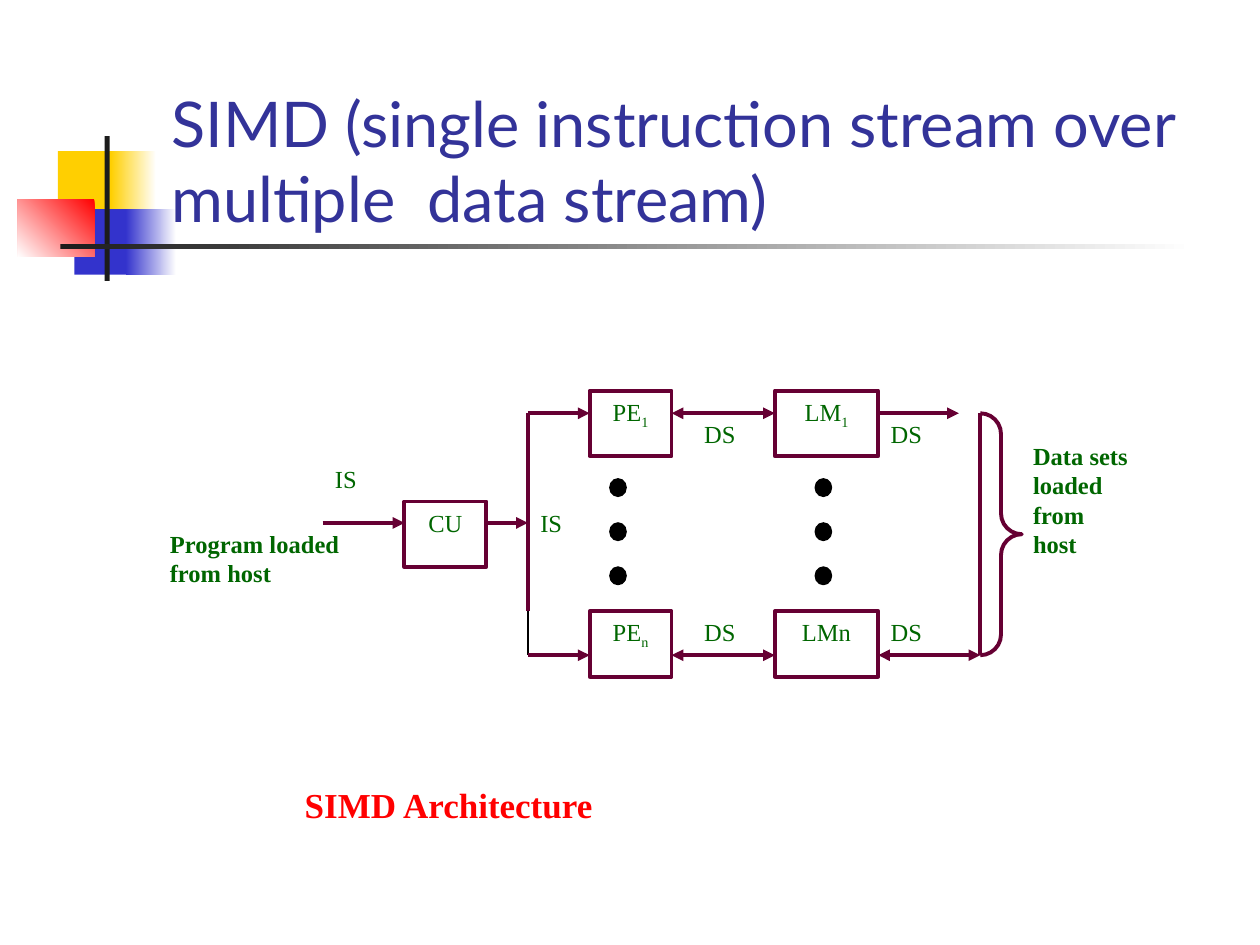
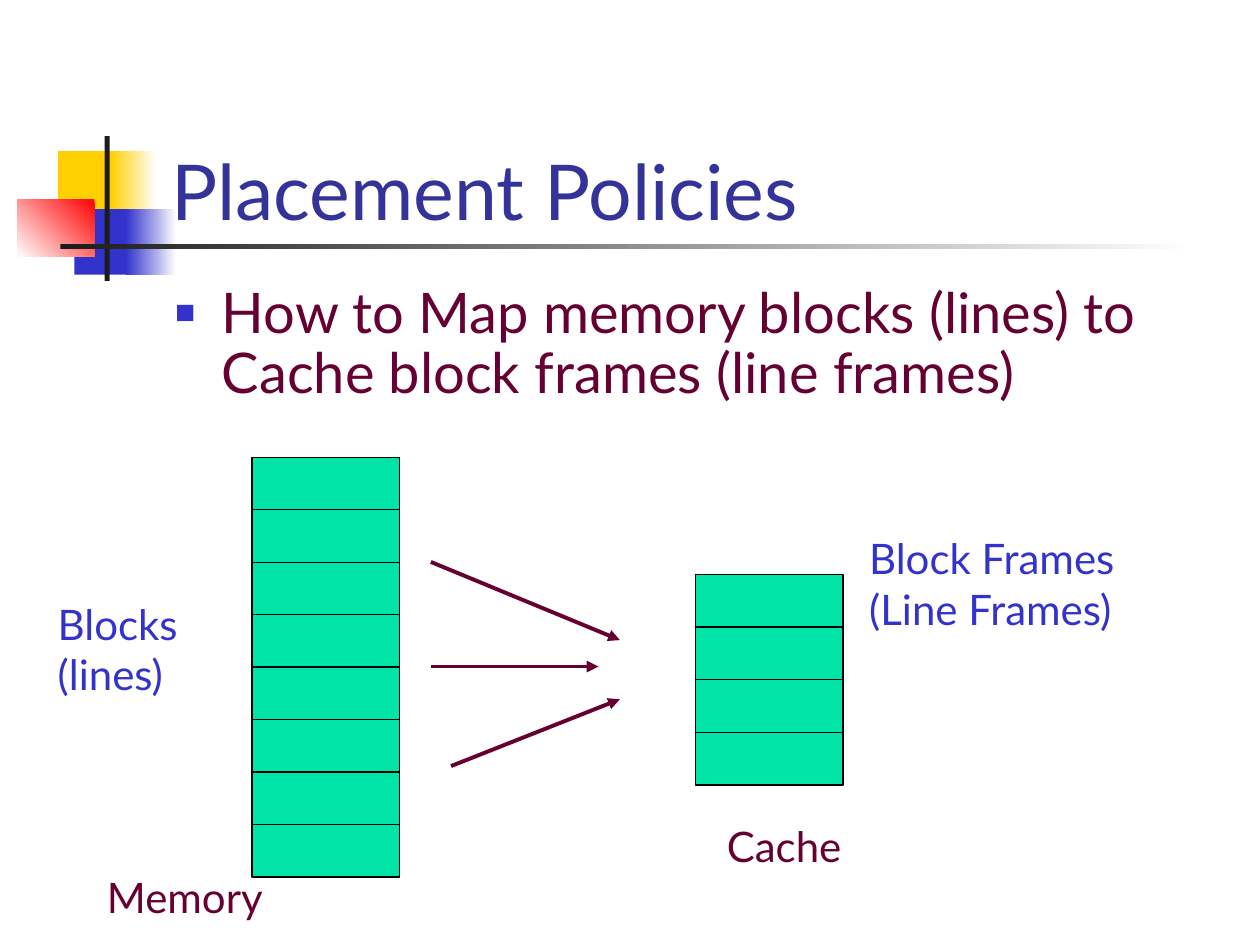
import lxml.etree
import pptx
import pptx.dml.color
import pptx.enum.shapes
import pptx.enum.text
import pptx.oxml.ns
import pptx.util

PX = 9144
SHAPE = pptx.enum.shapes.MSO_SHAPE
ALIGN = pptx.enum.text.PP_ALIGN
ANCHOR = pptx.enum.text.MSO_ANCHOR
qn = pptx.oxml.ns.qn

SANS, SERIF = "Lato", "Times New Roman"
INDIGO, BLUE, MAROON, GREEN = "333399", "3333CC", "660033", "006600"
YELLOW, RED, MINT = "FFCF01", "FF0000", "00E4A8"
CHARCOAL, BLACK, WHITE = "1C1C1C", "000000", "FFFFFF"


def px(*lengths):
    """Turn px lengths into EMU."""
    return [round(n * PX) for n in lengths]


def rgb(color):
    """Turn a hex string into a colour."""
    return pptx.dml.color.RGBColor.from_string(color)


def write(tf, text, size=14, font=SERIF, color=GREEN, bold=False,
          align=ALIGN.LEFT, anchor=ANCHOR.TOP, sub=""):
    """Fill a text frame, one paragraph per line, with an optional subscript."""
    tf.word_wrap = True
    tf.auto_size = pptx.enum.text.MSO_AUTO_SIZE.NONE
    tf.vertical_anchor = anchor
    tf.margin_left = tf.margin_right = px(10)[0]
    tf.margin_top = tf.margin_bottom = px(5)[0]
    for i, line in enumerate(text.split("\n")):
        p = tf.add_paragraph() if i else tf.paragraphs[0]
        p.alignment = align
        p.space_before = pptx.util.Pt(0)
        for part in filter(None, (line, sub)):
            r = p.add_run()
            r.text = part
            r.font.size, r.font.name = pptx.util.Pt(size), font
            r.font.bold, r.font.color.rgb = bold, rgb(color)
            if part == sub:
                r.font._element.set("baseline", "-25000")


def label(slide, text, x, y, w, h, **fmt):
    """Add a text box."""
    write(slide.shapes.add_textbox(*px(x, y, w, h)).text_frame, text, **fmt)


def shape(slide, kind, x, y, w, h, fill=None, line=None, weight=0.75):
    """Add a preset shape with a plain fill and outline."""
    sp = slide.shapes.add_shape(kind, *px(x, y, w, h))
    sp.shadow.inherit = False
    if fill:
        sp.fill.solid()
        sp.fill.fore_color.rgb = rgb(fill)
    else:
        sp.fill.background()
    if line:
        sp.line.color.rgb = rgb(line)
        sp.line.width = pptx.util.Pt(weight)
    else:
        sp.line.fill.background()
    return sp


def fade(sp, start, end, angle=0):
    """Give a shape a two-colour gradient."""
    sp.fill.gradient()
    sp.fill.gradient_angle = angle
    for stop, color in zip(sp.fill.gradient_stops, (start, end)):
        stop.color.rgb = rgb(color)
    return sp


def line(slide, x1, y1, x2, y2, color=MAROON, weight=2.25, ends=""):
    """Add a straight line; ends lists its arrowheads (head, tail)."""
    c = slide.shapes.add_connector(pptx.enum.shapes.MSO_CONNECTOR.STRAIGHT,
                                   *px(x1, y1, x2, y2))
    c.line.color.rgb = rgb(color)
    c.line.width = pptx.util.Pt(weight)
    spPr = c.element.spPr
    ln = spPr.find(qn("a:ln"))
    for end in ends.split():
        lxml.etree.SubElement(ln, qn(f"a:{end}End"), type="triangle")
    lxml.etree.SubElement(spPr, qn("a:effectLst"))


def master_motif(prs, slide, x, y):
    """Draw the coloured squares and rules, and move them to the master."""
    box = SHAPE.RECTANGLE
    parts = [
        shape(slide, box, x + 32, y + 12, 48, 52, YELLOW),
        fade(shape(slide, box, x + 74, y + 12, 36, 52), YELLOW, WHITE),
        shape(slide, box, x + 45, y + 58, 46, 52, BLUE),
        fade(shape(slide, box, x + 86, y + 58, 40, 52), BLUE, WHITE),
        fade(shape(slide, box, x, y + 50, 61, 46), RED, WHITE, 225),
        shape(slide, box, x + 69, y, 4, 115, CHARCOAL),
        fade(shape(slide, box, x + 34, y + 86, 900, 4), CHARCOAL, WHITE),
    ]
    for sp in parts:
        prs.slide_master.shapes.element.append(sp.element)


def place(ph, x, y, w, h):
    """Move a placeholder."""
    ph.left, ph.top, ph.width, ph.height = px(x, y, w, h)


def title(slide, text, y, h, size):
    """Place and fill the title, which sits on the rule."""
    place(slide.shapes.title, 126, y, 852, h)
    write(slide.shapes.title.text_frame, text, size=size, font=SANS,
          color=INDIGO, anchor=ANCHOR.BOTTOM)


def bullet_list(slide, text, x, y, w, h):
    """Place and fill the body with square bullets."""
    body = slide.placeholders[1]
    place(body, x, y, w, h)
    write(body.text_frame, text, size=32, font=SANS, color=MAROON)
    for p in body.text_frame.paragraphs:
        pPr = p._p.get_or_add_pPr()
        pPr.set("marL", str(37 * PX))
        pPr.set("indent", str(-37 * PX))
        clr = lxml.etree.SubElement(pPr, qn("a:buClr"))
        lxml.etree.SubElement(clr, qn("a:srgbClr"), val=BLUE)
        lxml.etree.SubElement(pPr, qn("a:buSzPct"), val="60000")
        lxml.etree.SubElement(pPr, qn("a:buChar"), char="■")
        p.line_spacing = 0.9


def unit(slide, text, x, y, w, sub=""):
    """Draw one named hardware unit."""
    sp = shape(slide, SHAPE.RECTANGLE, x, y, w, 52, WHITE, MAROON, 2.25)
    write(sp.text_frame, text, align=ALIGN.CENTER, sub=sub)


def simd_diagram(slide, x, y):
    """Draw the control unit, processing elements and local memories."""
    cu, bus, pe, lm, brace = x + 196, x + 294, x + 343, x + 490, x + 653
    pe_end, lm_end = pe + 65, lm + 82
    top, middle, bottom = y + 18, y + 105, y + 210

    line(slide, x + 131, middle, cu, middle, ends="tail")
    line(slide, cu + 65, middle, bus, middle, ends="tail")
    line(slide, bus, top, bus, y + 175)
    line(slide, bus, y + 175, bus, bottom, BLACK, 0.75)
    for row in (top, bottom):
        line(slide, bus, row, pe, row, ends="tail")
        line(slide, pe_end, row, lm, row, ends="head tail")
    line(slide, lm_end, top, x + 636, top, ends="tail")
    line(slide, lm_end, bottom, brace, bottom, ends="head tail")

    unit(slide, "CU", cu, y + 88, 65)
    unit(slide, "PE", pe, y, 65, sub="1")
    unit(slide, "PE", pe, y + 175, 65, sub="n")
    unit(slide, "LM", lm, y, 82, sub="1")
    unit(slide, "LMn", lm, y + 175, 82)

    for dot_x in (pe + 16, lm + 32):
        for i in range(3):
            shape(slide, SHAPE.OVAL, dot_x, y + 70 + 35 * i, 13, 14, BLACK, BLACK)

    line(slide, brace, top, brace, bottom)
    sp = shape(slide, SHAPE.RIGHT_BRACE, brace, top, 33, bottom - top,
               line=MAROON, weight=2.25)
    sp.adjustments[0] = sp.adjustments[1] = 0.5

    label(slide, "IS", x + 131, y + 53, 49, 34)
    label(slide, "IS", bus, y + 88, 49, 34)
    for ds_x in (pe_end + 16, lm_end):
        for ds_y in (top, y + 175):
            label(slide, "DS", ds_x, ds_y, 65, 34)
    label(slide, "Program loaded from host", x, middle, 180, 57, bold=True)
    label(slide, "Data sets loaded from host", brace + 32, y + 35, 98, 104, bold=True)


def block_stack(slide, x, y, w, h, count):
    """Draw a column of equal memory blocks."""
    for i in range(count):
        shape(slide, SHAPE.RECTANGLE, x, y + h * i / count, w, h / count, MINT, BLACK)


def mapping_diagram(slide, x, y):
    """Draw memory blocks mapped to cache block frames."""
    block_stack(slide, x + 164, y, 117, 333, 8)
    block_stack(slide, x + 516, y + 93, 117, 167, 4)
    for x1, y1, x2, y2 in ((306, 83, 456, 145), (306, 166, 439, 166),
                           (322, 245, 456, 192)):
        line(slide, x + x1, y + y1, x + x2, y + y2, ends="tail")
    for text, dx, dy, w, h, color in (
            ("Blocks\n(lines)", 0, 107, 120, 90, BLUE),
            ("Block Frames\n(Line Frames)", 644, 55, 230, 90, BLUE),
            ("Memory", 39, 324, 151, 50, MAROON),
            ("Cache", 531, 283, 115, 50, MAROON)):
        label(slide, text, x + dx, y + dy, w, h, size=24, font=SANS, color=color)


def simd_slide(prs):
    """Build the SIMD architecture slide and the shared motif."""
    slide = prs.slides.add_slide(prs.slide_layouts[5])
    master_motif(prs, slide, 14, 108)
    title(slide, "SIMD (single instruction stream over multiple  data stream)",
          60, 132, 36)
    simd_diagram(slide, 125, 310)
    label(slide, "SIMD Architecture", 232, 617, 275, 44, size=20, color=RED, bold=True)


def placement_slide(prs):
    """Build the placement policies slide."""
    slide = prs.slides.add_slide(prs.slide_layouts[1])
    title(slide, "Placement Policies", 67, 125, 44)
    bullet_list(slide, "How to Map memory blocks (lines) to Cache block frames "
                "(line frames)", 129, 221, 850, 231)
    mapping_diagram(slide, 36, 363)


def main():
    """Build and save the presentation."""
    prs = pptx.Presentation()
    prs.slide_width, prs.slide_height = px(1000, 750)
    simd_slide(prs)
    placement_slide(prs)
    prs.save("out.pptx")


if __name__ == "__main__":
    main()
